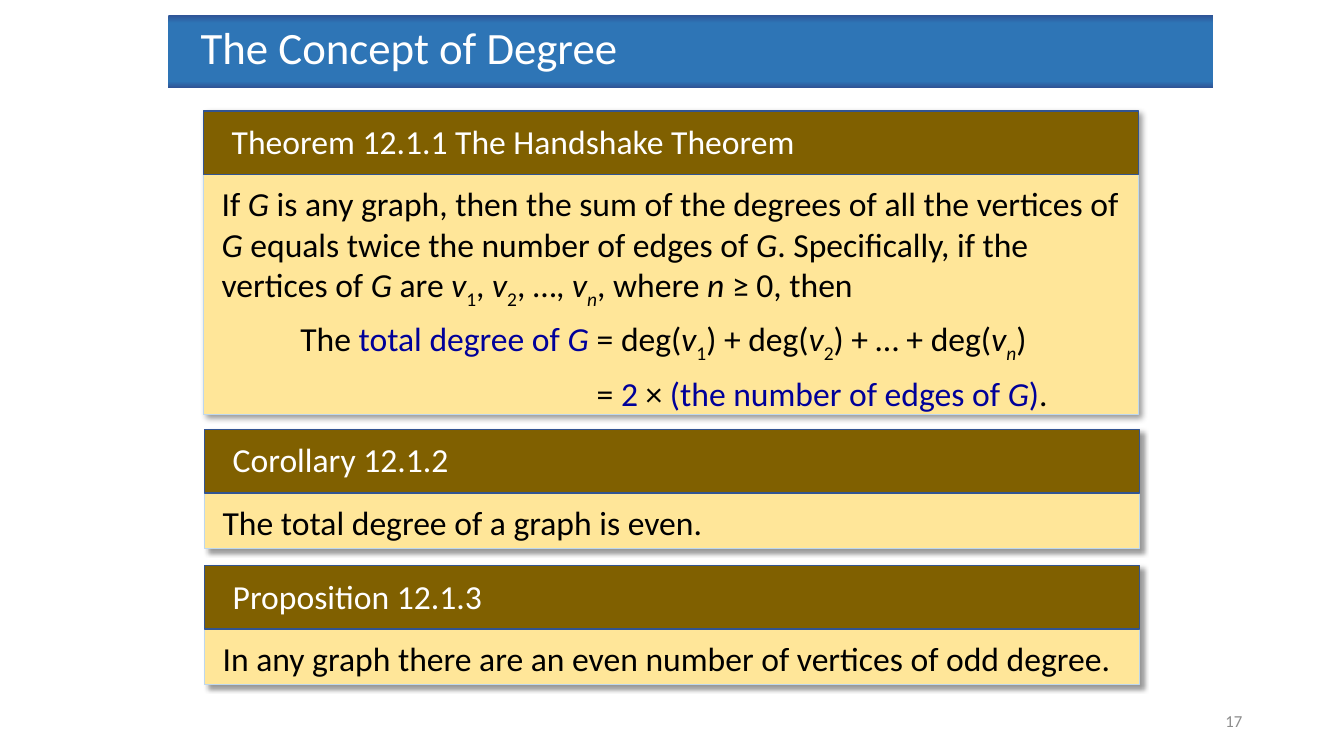
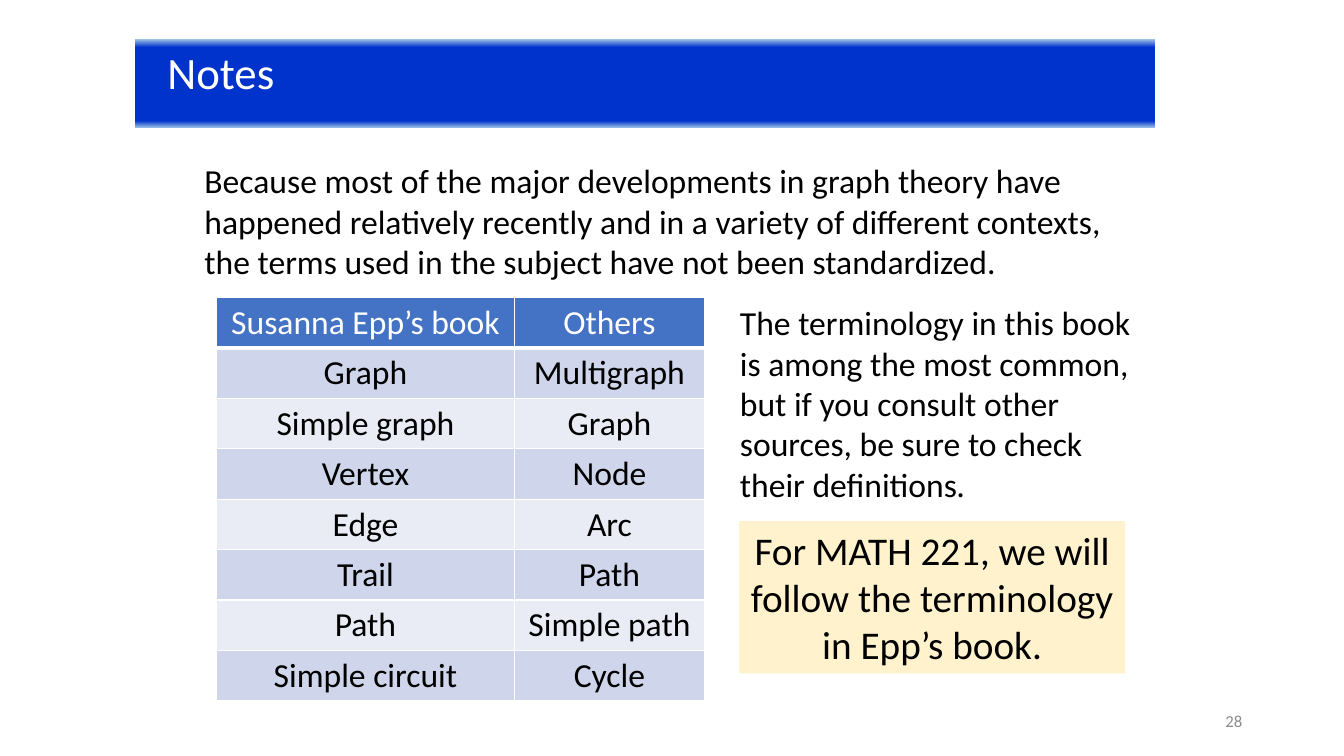
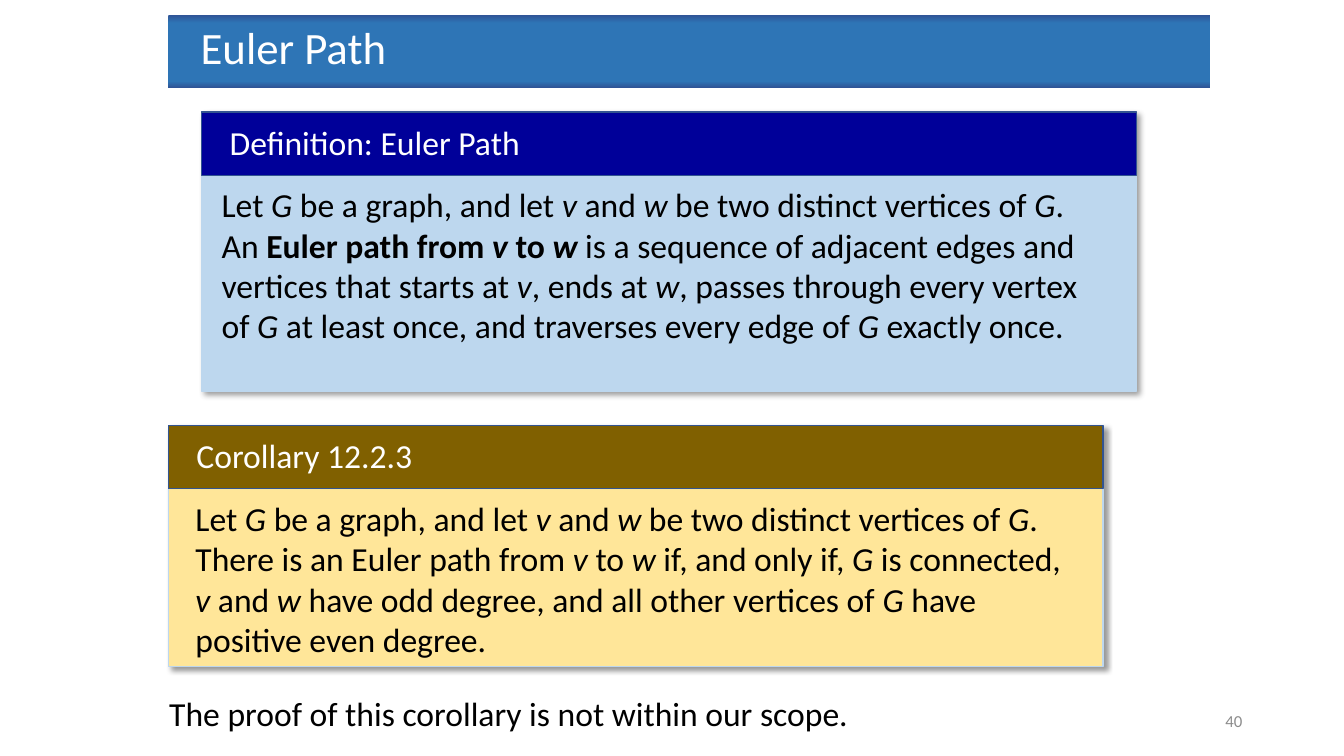
from lxml import etree
from pptx import Presentation
from pptx.dml.color import RGBColor
from pptx.enum.shapes import MSO_SHAPE
from pptx.enum.text import MSO_ANCHOR, PP_ALIGN
from pptx.oxml.ns import qn
from pptx.util import Inches, Pt

RECT = MSO_SHAPE.RECTANGLE
TOP, MIDDLE = MSO_ANCHOR.TOP, MSO_ANCHOR.MIDDLE
LEFT, CENTER, RIGHT = PP_ALIGN.LEFT, PP_ALIGN.CENTER, PP_ALIGN.RIGHT

# Shared look
FONT = "Calibri"
WHITE, BLACK, GRAY, NAVY = "FFFFFF", "000000", "8C8C8C", "000099"
EDGE, RULE, NOTE = "BDD7EE", "325491", "FFF2CC"
GOLD = ("806000", "FFE699")
BLUE = (NAVY, EDGE)
STEEL = ((0, "2F5597"), (11, "2E75B6"), (91, "2E75B6"), (100, "2F5597"))
ROYAL = ((0, "9DC3E6"), (9, "0033CC"), (92, "0033CC"), (100, "9DC3E6"))
HEAD, ROWS = "4472C4", ("CFD5EA", "E9EBF5")
PANEL_W, HEAD_H = 9.27, 0.63


def color(code):
    return RGBColor.from_string(code)


def node(parent, tag, **attrs):
    """Add one XML element below parent."""
    item = etree.SubElement(parent, qn(tag))
    for key, value in attrs.items():
        item.set(key, str(value))
    return item


# Text: * italic, ^ bold, _ subscript and ~ navy switch on and off
def style(run, size, tint, marks=""):
    font = run.font
    font.name, font.size = FONT, Pt(size)
    font.italic, font.bold = "*" in marks, "^" in marks
    font.color.rgb = color(NAVY if "~" in marks else tint)
    if "_" in marks:
        run._r.get_or_add_rPr().set("baseline", "-25000")


def write(para, text, size, tint):
    marks, word = set(), ""
    for sign in text + "*":
        if sign not in "*^_~":
            word += sign
            continue
        if word:
            run = para.add_run()
            run.text = word
            style(run, size, tint, marks)
        marks ^= {sign}
        word = ""


def fill_text(frame, lines, size, tint, align=LEFT, anchor=TOP, gap=0, tabs=()):
    frame.word_wrap = True
    frame.vertical_anchor = anchor
    for i, line in enumerate(lines):
        para = frame.add_paragraph() if i else frame.paragraphs[0]
        para.alignment = align
        para.space_after = Pt(gap)
        write(para, line, size, tint)
        if tabs and "\t" in line:
            stops = node(para._p.get_or_add_pPr(), "a:tabLst")
            for stop in tabs:
                node(stops, "a:tab", pos=Inches(stop), algn="l")


def label(shapes, box, lines, size=24, tint=BLACK, **kind):
    area = shapes.add_textbox(*map(Inches, box))
    fill_text(area.text_frame, lines, size, tint, **kind)


# Shapes
def block(shapes, box, fill, line=None):
    shape = shapes.add_shape(RECT, *map(Inches, box))
    shape.shadow.inherit = False
    shape.fill.solid()
    shape.fill.fore_color.rgb = color(fill)
    if line:
        shape.line.color.rgb = color(line)
        shape.line.width = Pt(1)
    else:
        shape.line.fill.background()
    return shape


def cast(shape):
    """Give a shape a soft shadow to the lower right."""
    effects = shape._element.spPr.find(qn("a:effectLst"))
    shade = node(effects, "a:outerShdw", blurRad=Pt(4), dist=Pt(3),
                 dir=45 * 60000, algn="tl", rotWithShape=0)
    node(node(shade, "a:srgbClr", val=BLACK), "a:alpha", val=40000)


def band(slide, box, text, stops):
    """Title band with a vertical gradient."""
    shape = block(slide.shapes, box, WHITE)
    shape.fill.gradient()
    shape.fill.gradient_angle = 270
    ramp = shape._element.spPr.find(".//" + qn("a:gsLst"))
    ramp.clear()
    for place, tint in stops:
        node(node(ramp, "a:gs", pos=place * 1000), "a:srgbClr", val=tint)
    shape.text_frame.margin_left = Inches(0.32)
    fill_text(shape.text_frame, [text], 32, WHITE)


def panel(slide, left, top, height, title, lines, tints=GOLD,
          inset=0.08, width=9.2, tabs=()):
    """Headed box for a theorem or a definition."""
    shapes = slide.shapes.add_group_shape().shapes
    dark, pale = tints
    cast(block(shapes, (left, top, PANEL_W, height), pale, EDGE))
    block(shapes, (left, top, PANEL_W, HEAD_H), dark, RULE)
    label(shapes, (left + 0.18, top + 0.05, 7.74, 0.5), [title], tint=WHITE)
    label(shapes, (left + inset, top + 0.67, width, height - 0.67), lines,
          gap=6, tabs=tabs)


def border(cell, low):
    props = cell._tc.get_or_add_tcPr()
    for i, side in enumerate(("L", "R", "T", "B")):
        line = etree.Element(qn("a:ln" + side))
        line.set("w", str(Pt(low if side == "B" else 1)))
        node(node(line, "a:solidFill"), "a:srgbClr", val=WHITE)
        props.insert(i, line)


def terms(slide, box, widths, rows):
    """Table of matching terms."""
    table = slide.shapes.add_table(len(rows), len(widths),
                                   *map(Inches, box)).table
    for col, width in zip(table.columns, widths):
        col.width = Inches(width)
    for r, row in enumerate(rows):
        for c, text in enumerate(row):
            cell = table.cell(r, c)
            cell.fill.solid()
            cell.fill.fore_color.rgb = color(ROWS[(r - 1) % 2] if r else HEAD)
            border(cell, 1 if r else 3)
            para = cell.text_frame.paragraphs[0]
            para.alignment = CENTER
            write(para, text, 24, BLACK if r else WHITE)


def start(deck, number):
    """Blank slide with its page number."""
    slide = deck.slides.add_slide(deck.slide_layouts[6])
    label(slide.shapes, (9.42, 6.95, 3, 0.4), [number], 12, GRAY,
          align=RIGHT, anchor=MIDDLE)
    return slide


# Slides
def degree(deck):
    slide = start(deck, "17")
    band(slide, (1.67, 0.15, 10.36, 0.72), "The Concept of Degree", STEEL)
    panel(slide, 2.02, 1.1, 3.01, "Theorem 12.1.1 The Handshake Theorem", [
        "If *G* is any graph, then the sum of the degrees of all the vertices "
        "of *G* equals twice the number of edges of *G*. Specifically, if the "
        "vertices of *G* are *v*_1_, *v*_2_, …, *v_n_*, where *n *≥ 0, then",
        "\tThe ~total degree of *G*~\t= deg(*v*_1_) + deg(*v*_2_) + … + "
        "deg(*v_n_*)",
        "\t\t= ~2~ × ~(the number of edges of *G*)~.",
    ], tabs=(0.78, 3.72))
    panel(slide, 2.03, 4.26, 1.18, "Corollary 12.1.2",
          ["The total degree of a graph is even."])
    panel(slide, 2.03, 5.61, 1.18, "Proposition 12.1.3",
          ["In any graph there are an even number of vertices of odd degree."])


def notes(deck):
    slide = start(deck, "28")
    band(slide, (1.34, 0.39, 10.12, 0.88), "Notes", ROYAL)
    label(slide.shapes, (1.93, 1.54, 9.24, 1.31), [
        "Because most of the major developments in graph theory have happened "
        "relatively recently and in a variety of different contexts, the terms "
        "used in the subject have not been standardized."], gap=6)
    terms(slide, (2.15, 2.95, 4.84, 4), (2.95, 1.89), [
        ("Susanna Epp’s book", "Others"),
        ("Graph", "Multigraph"),
        ("Simple graph", "Graph"),
        ("Vertex", "Node"),
        ("Edge", "Arc"),
        ("Trail", "Path"),
        ("Path", "Simple path"),
        ("Simple circuit", "Cycle"),
    ])
    label(slide.shapes, (7.24, 2.95, 4.22, 2.12), [
        "The terminology in this book is among the most common, but if you "
        "consult other sources, be sure to check their definitions*.*"], gap=6)
    card = block(slide.shapes, (7.33, 5.17, 3.83, 1.51), NOTE)
    fill_text(card.text_frame, [
        "For MATH 221, we will follow the terminology in Epp’s book."],
        28, BLACK, align=CENTER)


def euler(deck):
    slide = start(deck, "40")
    band(slide, (1.67, 0.15, 10.33, 0.72), "Euler Path", STEEL)
    given = ("Let *G* be a graph, and let *v* and *w* be two distinct "
             "vertices of *G*. ")
    panel(slide, 2, 1.11, 2.77, "Definition: Euler Path", [
        given + "An ^Euler path from *v* to *w*^ is a sequence of adjacent "
        "edges and vertices that starts at *v*, ends at *w*, passes through "
        "every vertex of *G* at least once, and traverses every edge of *G* "
        "exactly once."], BLUE, 0.1, 8.9)
    panel(slide, 1.67, 4.22, 2.39, "Corollary 12.2.3", [
        given + "There is an Euler path from *v* to *w* if, and only if, *G* "
        "is connected, *v* and *w* have odd degree, and all other vertices of "
        "*G* have positive even degree."], GOLD, 0.17, 8.83)
    label(slide.shapes, (1.58, 6.83, 9.08, 0.5),
          ["The proof of this corollary is not within our scope."])


def main():
    deck = Presentation()
    deck.slide_width, deck.slide_height = Inches(13.33), Inches(7.5)
    for build in (degree, notes, euler):
        build(deck)
    deck.save("out.pptx")


if __name__ == "__main__":
    main()
